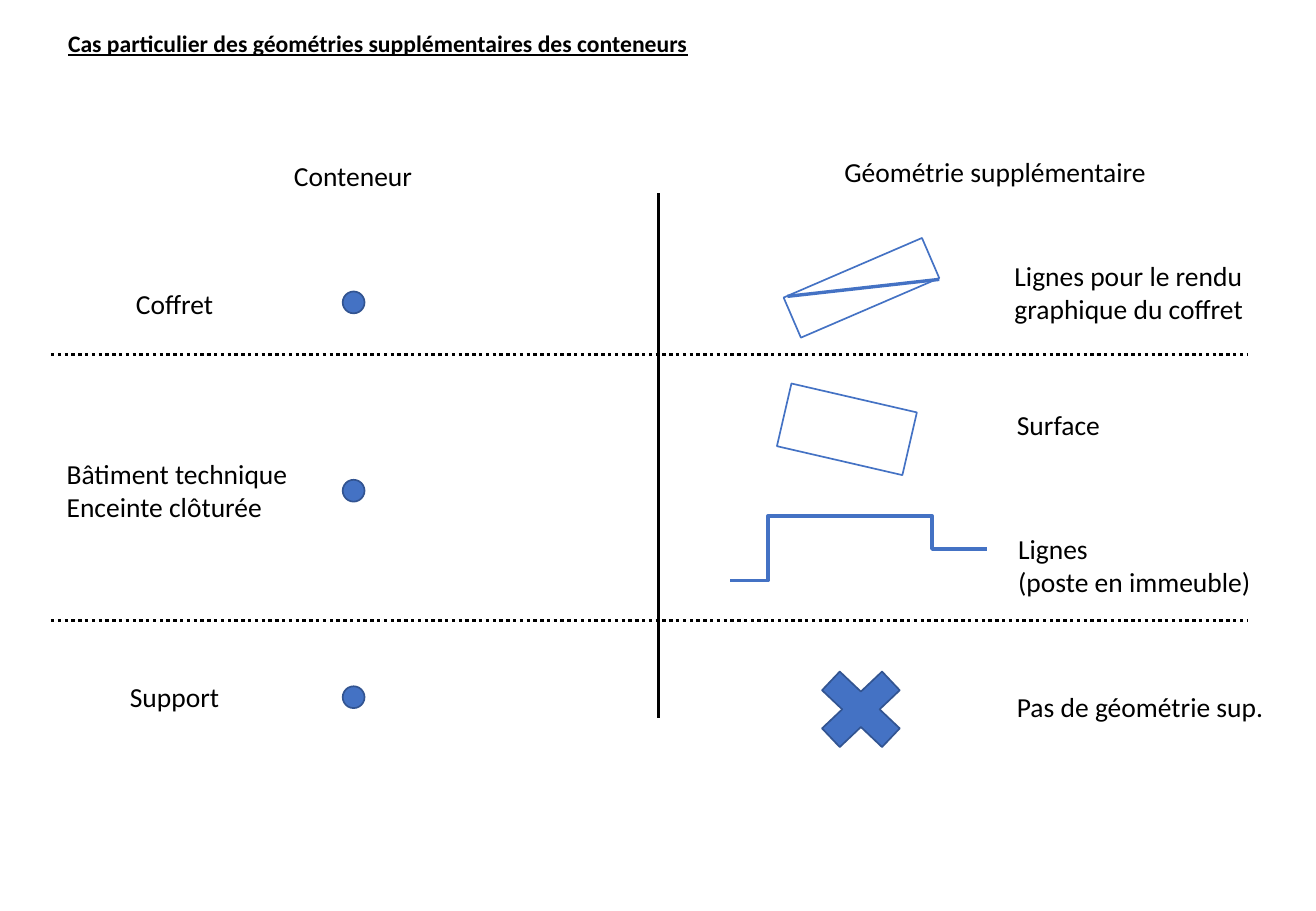
from lxml import etree
from pptx import Presentation
from pptx.dml.color import RGBColor
from pptx.enum import dml, shapes, text
from pptx.oxml import ns
from pptx.util import Inches, Pt

COLORS = {"ink": "000000", "paper": "FFFFFF", "blue": "4472C4", "edge": "325491"}
FONT = "Calibri"
LABEL_SIZE = 16.3


def color(name):
    return RGBColor.from_string(COLORS[name])


def write(shape, lines, size, bold=False, underline=False):
    """Fill a shape's text frame with one left-aligned paragraph per line."""
    frame = shape.text_frame
    for index, line in enumerate(lines):
        paragraph = frame.add_paragraph() if index else frame.paragraphs[0]
        paragraph.alignment = text.PP_ALIGN.LEFT
        run = paragraph.add_run()
        run.text = line
        run.font.name = FONT
        run.font.size = Pt(size)
        run.font.bold = bold
        run.font.underline = underline
        run.font.color.rgb = color("ink")


def add_title(slide, title):
    shape = slide.shapes.title
    shape.left, shape.top = Inches(0.46), Inches(0.19)
    shape.width, shape.height = Inches(9.92), Inches(0.34)
    shape.text_frame.auto_size = text.MSO_AUTO_SIZE.NONE
    shape.text_frame.vertical_anchor = text.MSO_ANCHOR.TOP
    write(shape, [title], 14, bold=True, underline=True)


def add_label(slide, left, top, width, *lines):
    height = 0.38 + 0.27 * (len(lines) - 1)
    box = slide.shapes.add_textbox(
        Inches(left), Inches(top), Inches(width), Inches(height))
    box.text_frame.word_wrap = False
    write(box, lines, LABEL_SIZE)


def add_figure(slide, kind, left, top, width, height, fill, line, rotation=0):
    shape = slide.shapes.add_shape(
        kind, Inches(left), Inches(top), Inches(width), Inches(height))
    shape.rotation = rotation
    shape.shadow.inherit = False
    shape.fill.solid()
    shape.fill.fore_color.rgb = color(fill)
    shape.line.color.rgb = color(line)
    shape.line.width = Pt(1)


def add_line(slide, start, end, line, width=2, dotted=False, bend=None):
    """Draw a straight line, or an elbow turning at the fraction bend."""
    kinds = shapes.MSO_CONNECTOR
    connector = slide.shapes.add_connector(
        kinds.STRAIGHT if bend is None else kinds.ELBOW,
        *(Inches(value) for value in (*start, *end)))
    connector.line.color.rgb = color(line)
    connector.line.width = Pt(width)
    if dotted:
        connector.line.dash_style = dml.MSO_LINE.ROUND_DOT
    properties = connector._element.spPr
    etree.SubElement(properties, ns.qn("a:effectLst"))
    if bend is not None:
        adjustments = properties.find(".//" + ns.qn("a:avLst"))
        etree.SubElement(adjustments, ns.qn("a:gd"), name="adj1",
                         fmla=f"val {round(bend * 100000)}")


def main():
    presentation = Presentation()
    presentation.slide_width = Inches(10.83)
    presentation.slide_height = Inches(7.5)
    slide = presentation.slides.add_slide(presentation.slide_layouts[5])
    kinds = shapes.MSO_SHAPE

    add_title(slide, "Cas particulier des géométries supplémentaires des conteneurs")

    # Column headings and divider
    add_line(slide, (5.42, 1.59), (5.42, 5.91), "ink")
    add_label(slide, 2.32, 1.26, 1.19, "Conteneur")
    add_label(slide, 6.85, 1.23, 2.72, "Géométrie supplémentaire")

    # Containers, each with its point
    for dot_top, left, top, width, lines in (
            (2.4, 1.02, 2.31, 0.85, ["Coffret"]),
            (3.95, 0.45, 3.71, 2.04, ["Bâtiment technique", "Enceinte clôturée"]),
            (5.65, 0.97, 5.55, 0.95, ["Support"])):
        add_figure(slide, kinds.OVAL, 2.82, dot_top, 0.18, 0.18, "blue", "edge")
        add_label(slide, left, top, width, *lines)

    # Surface
    add_figure(slide, kinds.RECTANGLE, 6.44, 3.27, 1.06, 0.53,
               "paper", "blue", rotation=13)

    # Stepped line
    add_line(slide, (6.01, 4.78), (7.22, 4.25), "blue", 2.25, bend=0.257)
    add_line(slide, (7.22, 4.25), (8.12, 4.52), "blue", 2.25, bend=0.5)

    # Cabinet with its diagonal
    add_figure(slide, kinds.RECTANGLE, 6.47, 2.19, 1.24, 0.36,
               "paper", "blue", rotation=336.7)
    add_line(slide, (6.48, 2.44), (7.73, 2.3), "blue")

    # Cross for no geometry
    add_figure(slide, kinds.MATH_MULTIPLY, 6.61, 5.39, 0.95, 0.9, "blue", "edge")

    # Row separators
    for top in (2.92, 5.11):
        add_line(slide, (0.42, top), (10.26, top), "ink", dotted=True)

    # Geometry labels
    add_label(slide, 8.25, 2.08, 2.17, "Lignes pour le rendu", "graphique du coffret")
    add_label(slide, 8.27, 3.31, 0.9, "Surface")
    add_label(slide, 8.28, 4.33, 2.14, "Lignes", "(poste en immeuble)")
    add_label(slide, 8.27, 5.63, 2.26, "Pas de géométrie sup.")

    presentation.save("out.pptx")


main()
